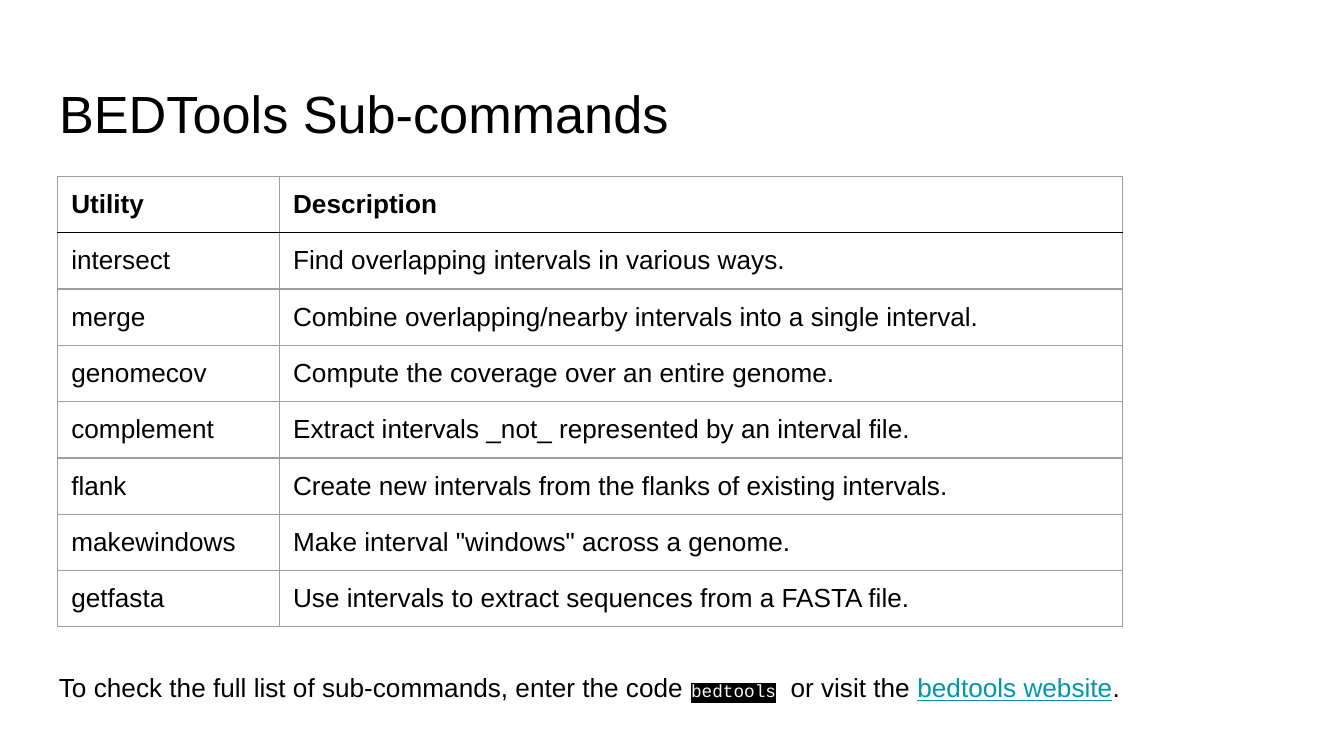
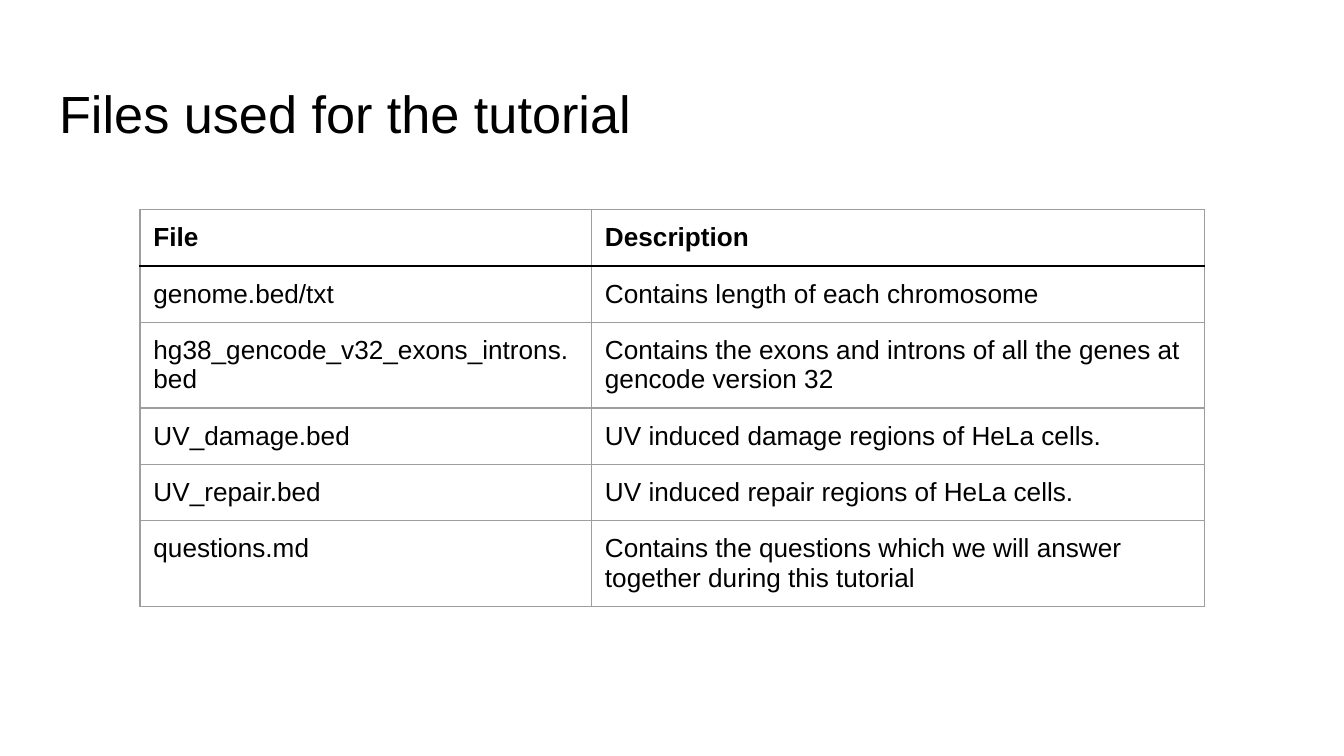
"""Build two slides that list the BEDTools sub-commands and the tutorial files."""
import lxml.etree
import pptx
import pptx.dml.color
import pptx.enum.text
import pptx.oxml.ns
import pptx.util

COLOURS = {
    "background": "FFFFFF",
    "text": "000000",
    "grid": "9E9E9E",
    "code": "F8F8F8",
    "link": "0097A7",
}
BODY_FONT = "Arial"
CODE_FONT = "Courier New"
INSET = 7.2
ROW_HEIGHT = 30
BORDER_WIDTH = 0.75


def colour(name):
    """Return the named colour as an RGB value."""
    return pptx.dml.color.RGBColor.from_string(COLOURS[name])


def add_solid_fill(parent, name):
    """Append a solid fill of the named colour to an XML element."""
    fill = lxml.etree.SubElement(parent, pptx.oxml.ns.qn("a:solidFill"))
    lxml.etree.SubElement(fill, pptx.oxml.ns.qn("a:srgbClr"), val=COLOURS[name])


def write_text(para, text, size=14, font=BODY_FONT, fill="text", bold=False,
               underline=False, highlight=None):
    """Add one formatted run of text to a paragraph."""
    span = para.add_run()
    span.text = text
    span.font.size = pptx.util.Pt(size)
    span.font.name = font
    span.font.bold = bold
    span.font.underline = underline
    span.font.color.rgb = colour(fill)
    if highlight:
        properties = span.font._element
        marker = lxml.etree.Element(pptx.oxml.ns.qn("a:highlight"))
        lxml.etree.SubElement(marker, pptx.oxml.ns.qn("a:srgbClr"), val=COLOURS[highlight])
        properties.find(pptx.oxml.ns.qn("a:solidFill")).addnext(marker)


class SlideWriter:
    """Hold the shared style and the slide being written."""

    def __init__(self, deck):
        """Start with a deck and no current slide."""
        self.deck = deck
        self.page = None

    def start_page(self, title):
        """Add a slide with its background and title."""
        self.page = self.deck.slides.add_slide(self.deck.slide_layouts[5])
        self.page.background.fill.solid()
        self.page.background.fill.fore_color.rgb = colour("background")
        box = self.page.shapes.title
        box.left, box.top = pptx.util.Pt(24.5), pptx.util.Pt(35.3)
        box.width, box.height = pptx.util.Pt(671), pptx.util.Pt(45.4)
        para = self.format_frame(box.text_frame, pptx.enum.text.MSO_ANCHOR.MIDDLE)
        write_text(para, title, size=28)

    def format_frame(self, frame, anchor):
        """Set insets, wrapping and spacing, and return the first paragraph."""
        frame.word_wrap = True
        frame.auto_size = pptx.enum.text.MSO_AUTO_SIZE.NONE
        frame.vertical_anchor = anchor
        frame.margin_left = frame.margin_right = pptx.util.Pt(INSET)
        frame.margin_top = frame.margin_bottom = pptx.util.Pt(INSET)
        para = frame.paragraphs[0]
        para.alignment = pptx.enum.text.PP_ALIGN.LEFT
        para.line_spacing = 1.15
        return para

    def add_note(self, left, top, width, height, spans):
        """Add a text box made of (text, format) pairs."""
        box = self.page.shapes.add_textbox(*map(pptx.util.Pt, (left, top, width, height)))
        para = self.format_frame(box.text_frame, pptx.enum.text.MSO_ANCHOR.TOP)
        for text, style in spans:
            write_text(para, text, **style)

    def add_grid(self, left, top, widths, rows):
        """Add a bordered table whose first row is the header."""
        frame = self.page.shapes.add_table(
            len(rows), len(widths), pptx.util.Pt(left), pptx.util.Pt(top),
            pptx.util.Pt(sum(widths)), pptx.util.Pt(ROW_HEIGHT * len(rows)))
        table = frame.table
        table.first_row = table.horz_banding = False
        for column, width in zip(table.columns, widths):
            column.width = pptx.util.Pt(width)
        for row_index, row in enumerate(rows):
            table.rows[row_index].height = pptx.util.Pt(ROW_HEIGHT)
            for column_index, text in enumerate(row):
                self.fill_cell(table.cell(row_index, column_index), text, row_index)

    def fill_cell(self, cell, text, row_index):
        """Write one cell with its insets, borders and clear fill."""
        cell.margin_left = cell.margin_right = pptx.util.Pt(INSET)
        cell.margin_top = cell.margin_bottom = pptx.util.Pt(INSET)
        write_text(cell.text_frame.paragraphs[0], text, bold=row_index == 0)
        borders = {
            "a:lnL": "grid",
            "a:lnR": "grid",
            "a:lnT": "text" if row_index == 1 else "grid",
            "a:lnB": "text" if row_index == 0 else "grid",
        }
        properties = cell._tc.get_or_add_tcPr()
        for side, name in borders.items():
            line = lxml.etree.SubElement(
                properties, pptx.oxml.ns.qn(side), w=str(pptx.util.Pt(BORDER_WIDTH)))
            add_solid_fill(line, name)
        cell.fill.background()


def main():
    """Build and save the deck."""
    deck = pptx.Presentation()
    deck.slide_width, deck.slide_height = pptx.util.Pt(720), pptx.util.Pt(405)
    writer = SlideWriter(deck)

    writer.start_page("BEDTools Sub-commands")
    writer.add_grid(31, 94.5, (118.8, 451.4), [
        ("Utility", "Description"),
        ("intersect", "Find overlapping intervals in various ways."),
        ("merge", "Combine overlapping/nearby intervals into a single interval."),
        ("genomecov", "Compute the coverage over an entire genome."),
        ("complement", "Extract intervals _not_ represented by an interval file."),
        ("flank", "Create new intervals from the flanks of existing intervals."),
        ("makewindows", 'Make interval "windows" across a genome.'),
        ("getfasta", "Use intervals to extract sequences from a FASTA file."),
    ])
    code_style = {"size": 9.5, "font": CODE_FONT, "fill": "code", "highlight": "text"}
    writer.add_note(24.5, 350, 583.2, 50, [
        ("To check the full list of sub-commands, enter the code ", {}),
        ("bedtools", code_style),
        ("  or visit the ", {}),
        ("bedtools website", {"fill": "link", "underline": True}),
        (".", {}),
    ])

    writer.start_page("Files used for the tutorial")
    writer.add_grid(75, 112.4, (241.9, 328.3), [
        ("File", "Description"),
        ("genome.bed/txt", "Contains length of each chromosome"),
        ("hg38_gencode_v32_exons_introns.bed",
         "Contains the exons and introns of all the genes at gencode version 32"),
        ("UV_damage.bed", "UV induced damage regions of HeLa cells."),
        ("UV_repair.bed", "UV induced repair regions of HeLa cells."),
        ("questions.md",
         "Contains the questions which we will answer together during this tutorial"),
    ])
    deck.save("out.pptx")


main()
